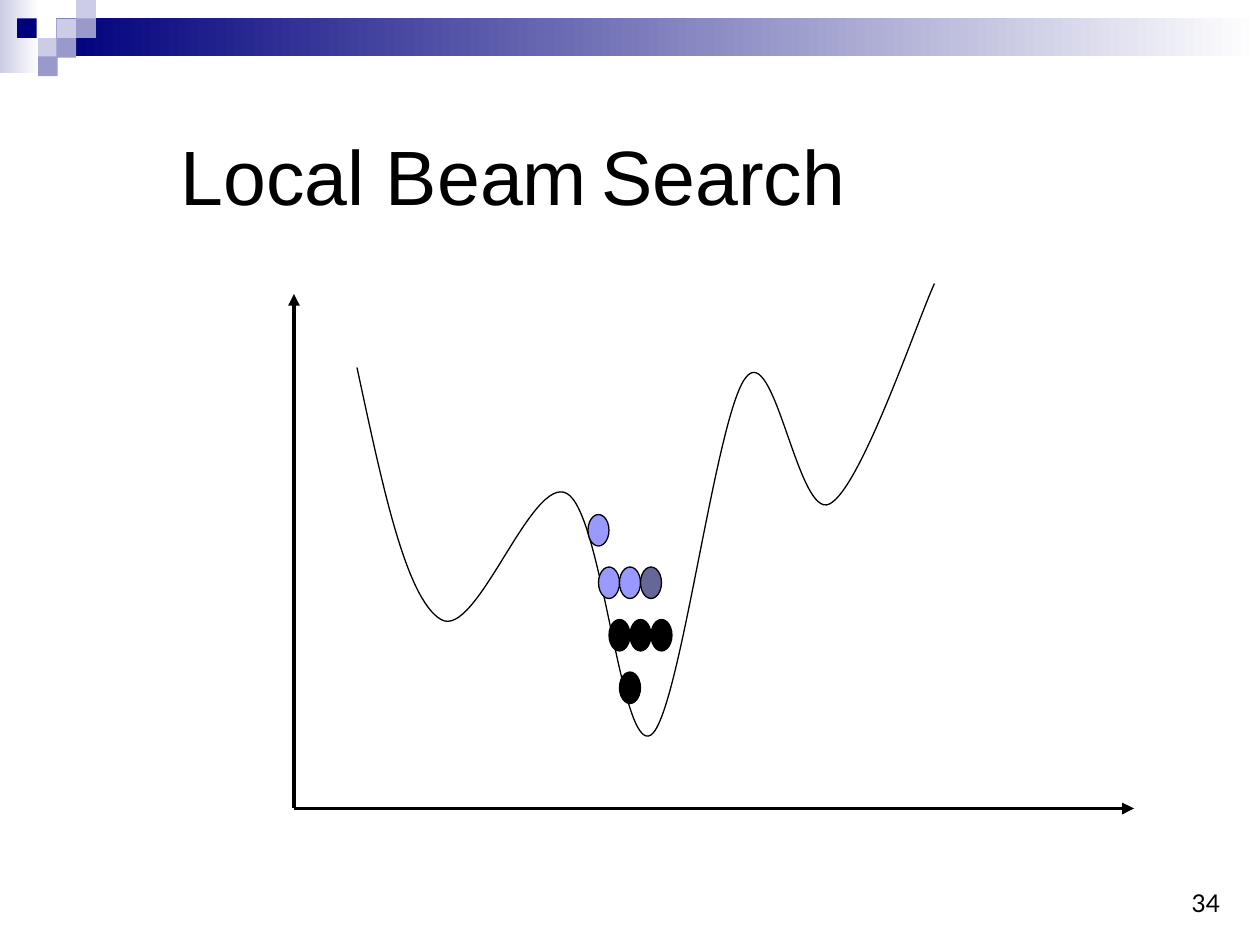
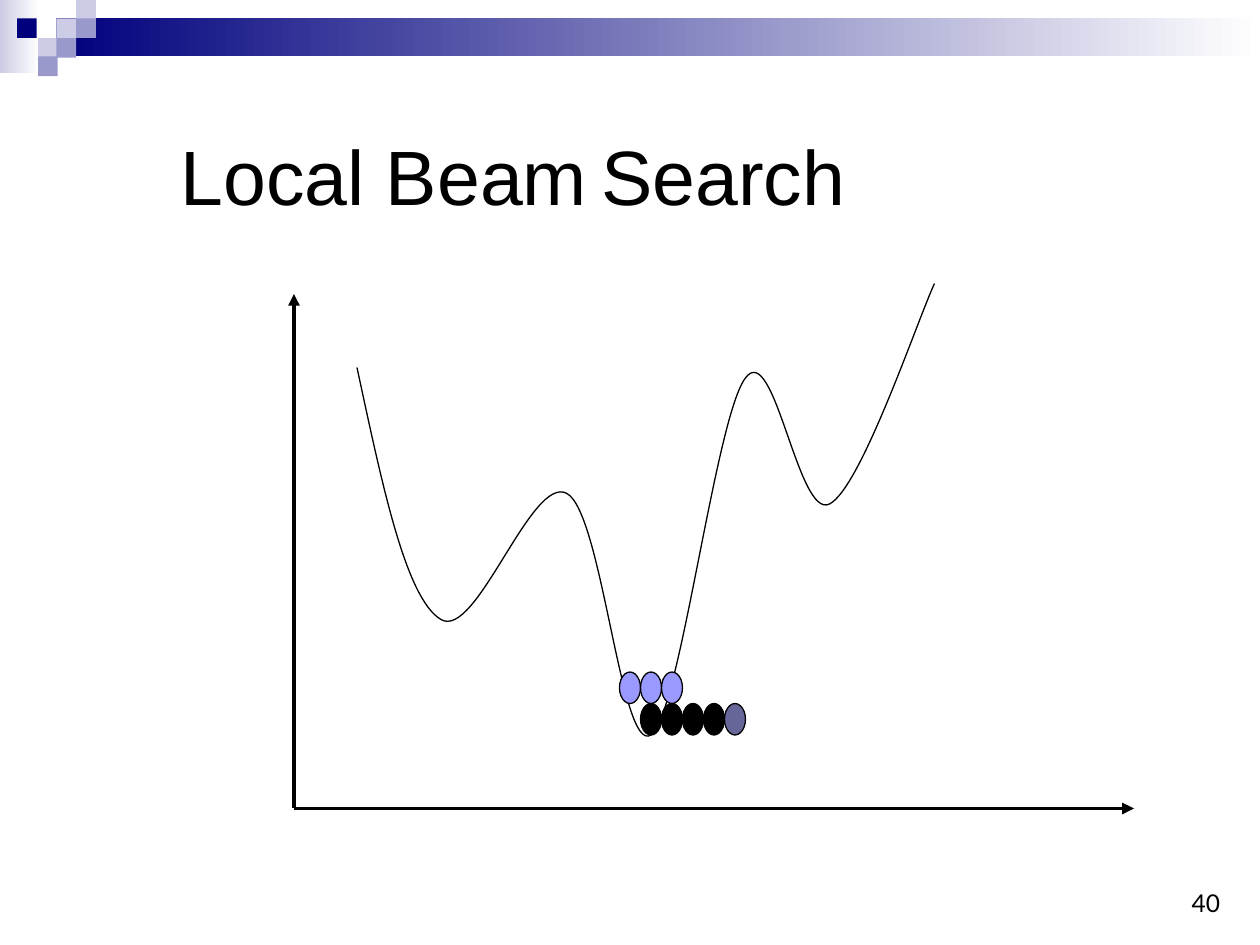
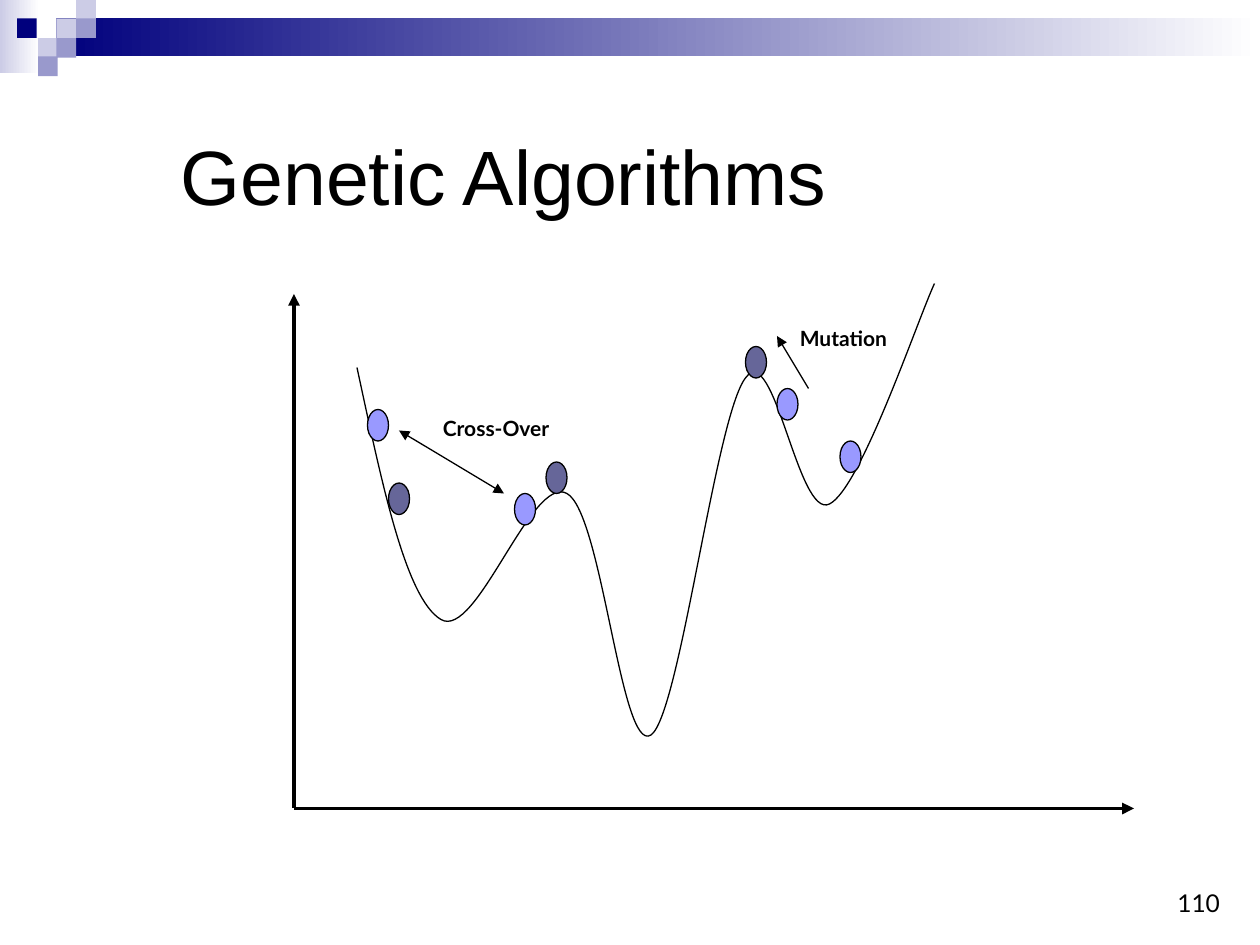
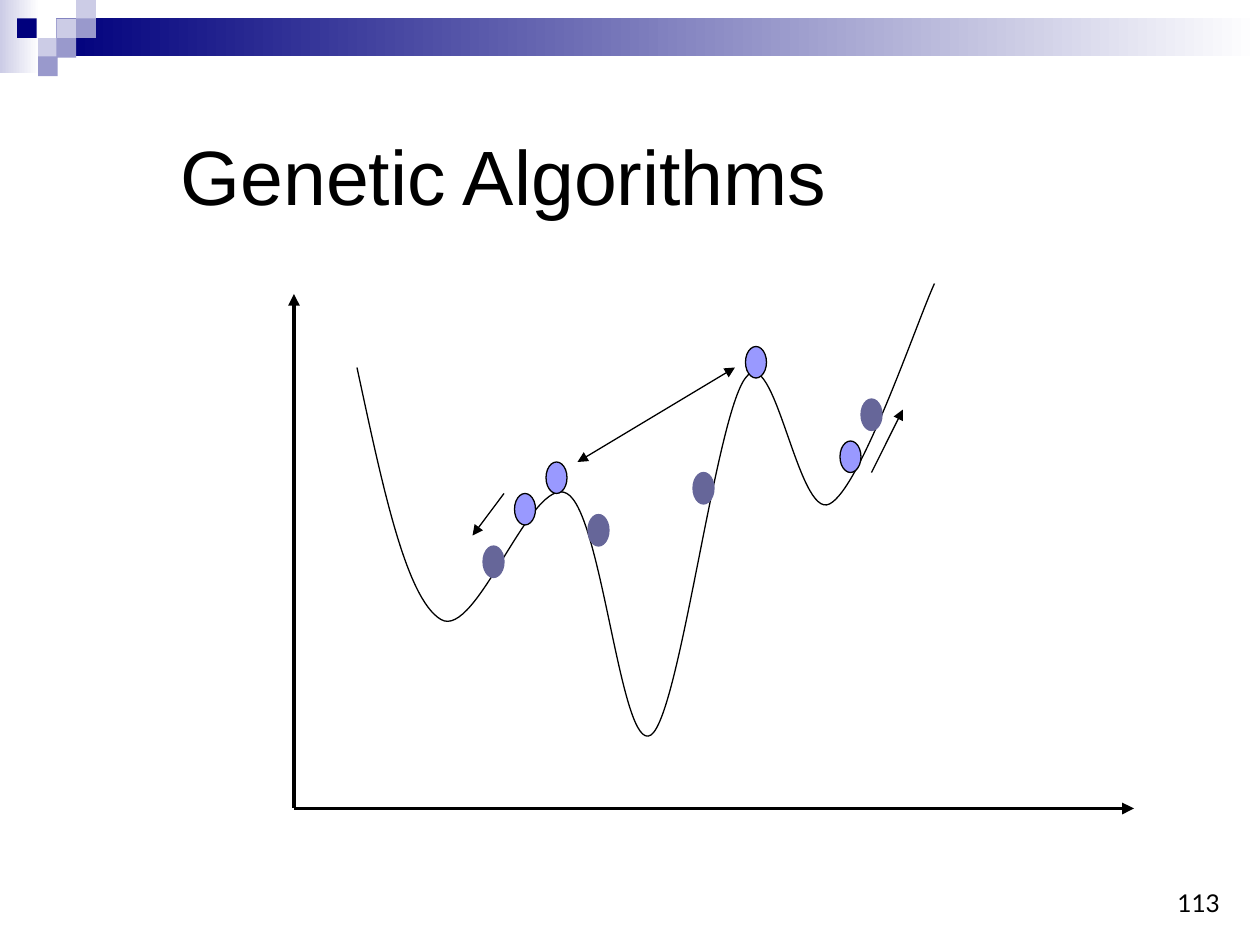
import pptx
import pptx.dml.color
import pptx.enum.shapes
import pptx.enum.text
import pptx.oxml
import pptx.oxml.ns
import pptx.util

PX = 9525
BALL_WIDTH, BALL_HEIGHT = 16, 24


class Theme:
    title_font = "Arial"
    body_font = "Lato"
    title_size = 44
    gap_size = 28
    number_size = 14
    label_size = 12
    axis_width = 2.25
    thin_width = 0.75
    black = pptx.dml.color.RGBColor.from_string("000000")
    white = pptx.dml.color.RGBColor.from_string("FFFFFF")
    navy = pptx.dml.color.RGBColor.from_string("00007D")
    pale = pptx.dml.color.RGBColor.from_string("CCCCE6")
    lavender = pptx.dml.color.RGBColor.from_string("9999CC")
    state = pptx.dml.color.RGBColor.from_string("9999FF")
    successor = pptx.dml.color.RGBColor.from_string("666699")


def add_text(paragraph, text, font=Theme.body_font, size=Theme.label_size,
             color=Theme.black, bold=False, italic=False):
    run = paragraph.add_run()
    run.text = text
    run.font.name = font
    run.font.size = pptx.util.Pt(size)
    run.font.color.rgb = color
    run.font.bold = bold
    run.font.italic = italic


def add_arrow(slide, start, end, width=Theme.thin_width, ends=("tailEnd",)):
    connector = slide.shapes.add_connector(
        pptx.enum.shapes.MSO_CONNECTOR.STRAIGHT,
        *(value * PX for value in (*start, *end)))
    connector.line.color.rgb = Theme.black
    connector.line.width = pptx.util.Pt(width)
    line = connector.get_or_add_ln()
    for name in ends:
        arrowhead = pptx.oxml.ns.qn(f"a:{name}")
        line.append(line.makeelement(arrowhead, {"type": "triangle"}))
    properties = connector.element.spPr
    properties.append(properties.makeelement(pptx.oxml.ns.qn("a:effectLst"), {}))


local_beam = [
    ("Local Beam", Theme.title_size, Theme.black, False),
    (" ", Theme.gap_size, Theme.lavender, True),
    ("Search", Theme.title_size, Theme.black, False),
]
genetic = [("Genetic Algorithms", Theme.title_size, Theme.black, False)]
both_ends = ("headEnd", "tailEnd")

pages = [
    {
        "number": "34", "title": local_beam,
        "ball_rows": [
            (448, 392, [Theme.state]),
            (456, 432, [Theme.state, Theme.state, Theme.successor]),
            (464, 472, [Theme.black] * 3),
            (472, 512, [Theme.black]),
        ],
    },
    {
        "number": "40", "title": local_beam,
        "ball_rows": [
            (472, 512, [Theme.state] * 3),
            (488, 536, [Theme.black] * 4 + [Theme.successor]),
        ],
    },
    {
        "number": "110", "title": genetic,
        "states": [(280, 312), (392, 376), (592, 296), (640, 336)],
        "successors": [(296, 368), (416, 352), (568, 264)],
        "successor_line": Theme.black,
        "arrows": [
            ((304, 328), (384, 376), both_ends),
            ((616, 296), (592, 256), ("tailEnd",)),
        ],
        "labels": [("Mutation", 600, 243, 104), ("Cross-Over", 328, 312, 120)],
    },
    {
        "number": "113", "title": genetic,
        "states": [(392, 376), (640, 336), (416, 352), (568, 264)],
        "successors": [(368, 416), (448, 392), (528, 360), (656, 304)],
        "successor_line": Theme.successor,
        "arrows": [
            ((384, 376), (360, 408), ("tailEnd",)),
            ((664, 360), (688, 312), ("tailEnd",)),
            ((440, 352), (560, 280), both_ends),
        ],
    },
]

curve = [
    (272, 280),
    (291, 368), (309, 456), (336, 472),
    (363, 488), (405, 361), (432, 376),
    (459, 391), (473, 575), (496, 560),
    (518, 545), (545, 318), (568, 288),
    (590, 258), (608, 396), (632, 384),
    (656, 372), (699, 244), (712, 216),
]

presentation = pptx.Presentation()
presentation.slide_width = 960 * PX
presentation.slide_height = 720 * PX
layout = presentation.slide_layouts.get_by_name("Title Only")
for placeholder in list(layout.placeholders)[1:]:
    placeholder.element.getparent().remove(placeholder.element)
slides = [presentation.slides.add_slide(layout) for page in pages]

bands = [
    (0, 0, 30, 56, (Theme.pale, Theme.white)),
    (43, 14, 917, 29, (Theme.navy, Theme.white)),
]
squares = [
    (43, 14, Theme.pale), (58, 0, Theme.pale), (58, 14, Theme.lavender),
    (29, 29, Theme.pale), (13, 14, Theme.navy), (43, 29, Theme.lavender),
    (29, 43, Theme.lavender),
]
bands += [(left, top, 15, 15, (color,)) for left, top, color in squares]
for left, top, width, height, colors in bands:
    band = slides[0].shapes.add_shape(
        pptx.enum.shapes.MSO_SHAPE.RECTANGLE,
        left * PX, top * PX, width * PX, height * PX)
    band.shadow.inherit = False
    band.line.fill.background()
    if len(colors) == 1:
        band.fill.solid()
        band.fill.fore_color.rgb = colors[0]
    else:
        band.fill.gradient()
        band.fill.gradient_angle = 0
        for stop, color, position in zip(band.fill.gradient_stops, colors, (0, 1)):
            stop.color.rgb = color
            stop.position = position
    layout.shapes.element.append(band.element)

for slide, page in zip(slides, pages):
    title = slide.shapes.title
    title.left, title.top, title.width, title.height = (
        value * PX for value in (128, 90, 818, 86))
    title.text_frame.vertical_anchor = pptx.enum.text.MSO_ANCHOR.MIDDLE
    paragraph = title.text_frame.paragraphs[0]
    paragraph.alignment = pptx.enum.text.PP_ALIGN.LEFT
    for text, size, color, italic in page["title"]:
        add_text(paragraph, text, font=Theme.title_font, size=size,
                 color=color, italic=italic)

    number = slide.shapes.add_textbox(739 * PX, 656 * PX, 200 * PX, 48 * PX)
    number.text_frame.word_wrap = True
    number.text_frame.vertical_anchor = pptx.enum.text.MSO_ANCHOR.BOTTOM
    paragraph = number.text_frame.paragraphs[0]
    paragraph.alignment = pptx.enum.text.PP_ALIGN.RIGHT
    add_text(paragraph, page["number"], size=Theme.number_size)

    add_arrow(slide, (224, 224), (224, 616), Theme.axis_width, ("headEnd",))
    add_arrow(slide, (224, 616), (864, 616), Theme.axis_width)

    builder = slide.shapes.build_freeform(*curve[0], scale=PX)
    builder.add_line_segments(curve[1:], close=False)
    landscape = builder.convert_to_shape()
    landscape.shadow.inherit = False
    landscape.fill.background()
    landscape.line.color.rgb = Theme.black
    landscape.line.width = pptx.util.Pt(Theme.thin_width)
    segments = list(landscape.element.iter(pptx.oxml.ns.qn("a:lnTo")))
    for first in range(0, len(segments), 3):
        bezier = segments[first].makeelement(pptx.oxml.ns.qn("a:cubicBezTo"), {})
        segments[first].addprevious(bezier)
        for segment in segments[first:first + 3]:
            bezier.append(segment[0])
            segment.getparent().remove(segment)

    balls = [
        (left + index * BALL_WIDTH, top, color, Theme.black)
        for left, top, colors in page.get("ball_rows", [])
        for index, color in enumerate(colors)
    ]
    balls += [(left, top, Theme.state, Theme.black)
              for left, top in page.get("states", [])]
    balls += [(left, top, Theme.successor, page["successor_line"])
              for left, top in page.get("successors", [])]
    for left, top, color, line_color in balls:
        ball = slide.shapes.add_shape(
            pptx.enum.shapes.MSO_SHAPE.OVAL,
            left * PX, top * PX, BALL_WIDTH * PX, BALL_HEIGHT * PX)
        ball.shadow.inherit = False
        ball.fill.solid()
        ball.fill.fore_color.rgb = color
        ball.line.color.rgb = line_color
        ball.line.width = pptx.util.Pt(Theme.thin_width)

    for start, end, ends in page.get("arrows", []):
        add_arrow(slide, start, end, ends=ends)

    for text, left, top, width in page.get("labels", []):
        label = slide.shapes.add_textbox(left * PX, top * PX, width * PX, 29 * PX)
        label.text_frame.word_wrap = True
        label.text_frame.auto_size = pptx.enum.text.MSO_AUTO_SIZE.SHAPE_TO_FIT_TEXT
        add_text(label.text_frame.paragraphs[0], text, bold=True)

presentation.save("out.pptx")
